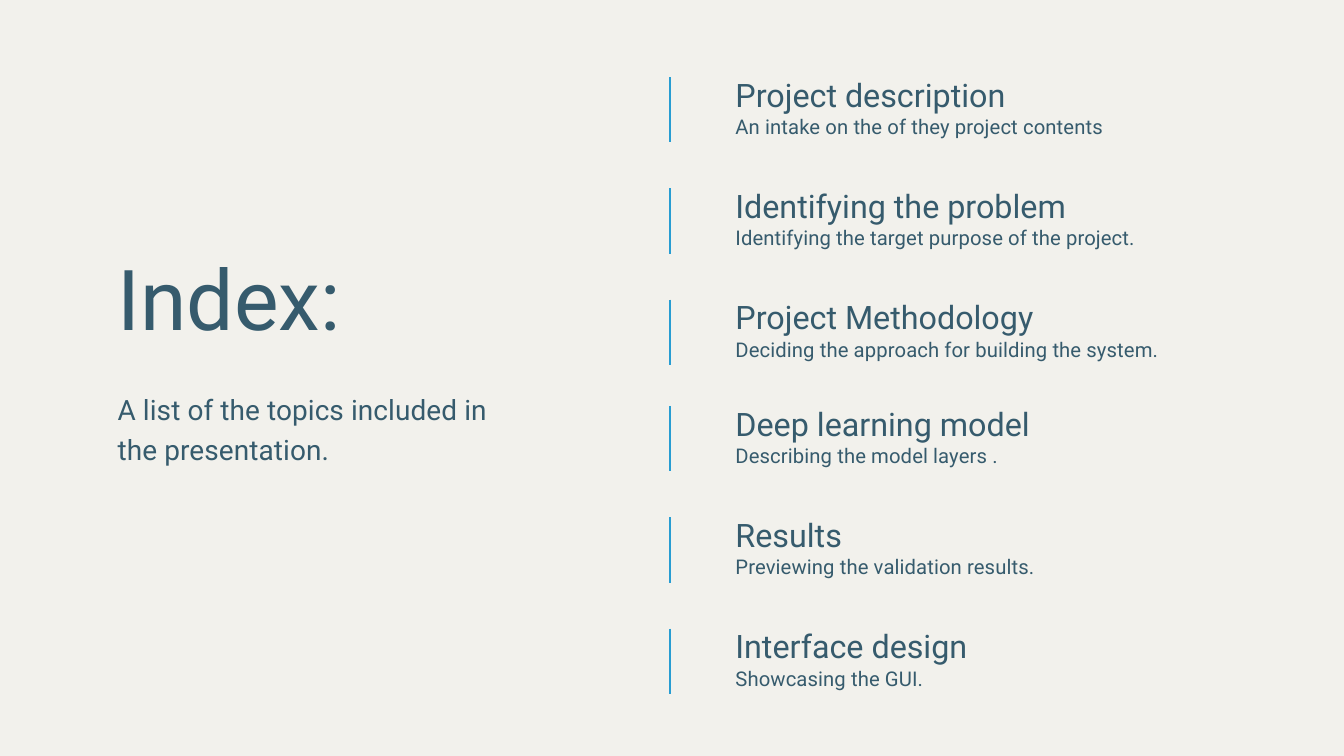
import pptx
import pptx.util
import pptx.dml.color
import pptx.enum.shapes
import pptx.enum.text
import pptx.oxml

Pt = pptx.util.Pt

TITLE = "Index:"
SUBTITLE = "A list of the topics included in the presentation."
TOPIC_BLOCKS = [
    [
        ("Project description", "An intake on the of they project contents"),
        ("Identifying the problem", "Identifying the target purpose of the project."),
        ("Project Methodology", "Deciding the approach for building the system."),
    ],
    [
        ("Deep learning model", "Describing the model layers ."),
        ("Results", "Previewing the validation results."),
        ("Interface design", "Showcasing the GUI."),
    ],
]

THEME = {
    "font": "Roboto",
    "background": "F2F1EC",
    "text": "365B6D",
    "accent": "289DD2",
    "title": {"size": 90, "leading": 99},
    "subtitle": {"size": 30, "leading": 42, "spacing": 0.1},
    "heading": {"size": 34.6, "leading": 38},
    "detail": {"size": 21.7, "leading": 30.4, "spacing": 0.1},
}

PAGE_WIDTH, PAGE_HEIGHT = 1440, 810
INTRO_LEFT, INTRO_WIDTH = 126, 425
TITLE_TOP, SUBTITLE_TOP = 273, 415
RULE_LEFT, RULE_HEIGHT, RULE_WEIGHT = 718, 70, 2.25
TOPIC_LEFT, TOPIC_WIDTH = 788, 526
BLOCK_TOP, BLOCK_PITCH, TOPIC_PITCH = 82.6, 352.4, 119.2
HEADING_OFFSET, DETAIL_OFFSET = 1.2, 35.7


def color(name):
    return pptx.dml.color.RGBColor.from_string(THEME[name])


def write_text(box, text, *, left, top, width, size, leading, spacing=0, lines=1):
    box.left, box.top = Pt(left), Pt(top)
    box.width, box.height = Pt(width), Pt(leading * lines)
    frame = box.text_frame
    frame.margin_left = frame.margin_right = frame.margin_top = frame.margin_bottom = 0
    frame.word_wrap = True
    frame.auto_size = pptx.enum.text.MSO_AUTO_SIZE.SHAPE_TO_FIT_TEXT
    frame.vertical_anchor = pptx.enum.text.MSO_ANCHOR.TOP
    para = frame.paragraphs[0]
    para.alignment = pptx.enum.text.PP_ALIGN.LEFT
    para.line_spacing = Pt(leading)
    para.space_before = Pt(0)
    span = para.add_run()
    span.text = text
    span.font.name = THEME["font"]
    span.font.size = Pt(size)
    span.font.color.rgb = color("text")
    if spacing:
        span.font._element.set("spc", str(round(spacing * 100)))


def add_text(shapes, text, **layout):
    write_text(shapes.add_textbox(0, 0, 0, 0), text, **layout)


def add_rule(shapes, top):
    rule = shapes.add_connector(
        pptx.enum.shapes.MSO_CONNECTOR.STRAIGHT,
        Pt(RULE_LEFT), Pt(top), Pt(RULE_LEFT), Pt(top + RULE_HEIGHT),
    )
    rule.line.color.rgb = color("accent")
    rule.line.width = Pt(RULE_WEIGHT)
    rule._element.spPr.append(pptx.oxml.parse_xml(
        '<a:effectLst xmlns:a="http://schemas.openxmlformats.org/drawingml/2006/main"/>'
    ))


def add_topic(page, heading, detail, top):
    shapes = page.shapes.add_group_shape().shapes
    column = {"left": TOPIC_LEFT, "width": TOPIC_WIDTH}
    add_text(shapes, heading, top=top + HEADING_OFFSET, **column, **THEME["heading"])
    add_text(shapes, detail, top=top + DETAIL_OFFSET, **column, **THEME["detail"])
    add_rule(shapes, top)


def main():
    deck = pptx.Presentation()
    deck.slide_width, deck.slide_height = Pt(PAGE_WIDTH), Pt(PAGE_HEIGHT)
    page = deck.slides.add_slide(deck.slide_layouts.get_by_name("Title Only"))
    page.background.fill.solid()
    page.background.fill.fore_color.rgb = color("background")

    column = {"left": INTRO_LEFT, "width": INTRO_WIDTH}
    write_text(page.shapes.title, TITLE, top=TITLE_TOP, **column, **THEME["title"])
    add_text(page.shapes, SUBTITLE, top=SUBTITLE_TOP, lines=2, **column, **THEME["subtitle"])

    for block, topics in enumerate(TOPIC_BLOCKS):
        for row, (heading, detail) in enumerate(topics):
            top = BLOCK_TOP + block * BLOCK_PITCH + row * TOPIC_PITCH
            add_topic(page, heading, detail, top)

    deck.save("out.pptx")


if __name__ == "__main__":
    main()
